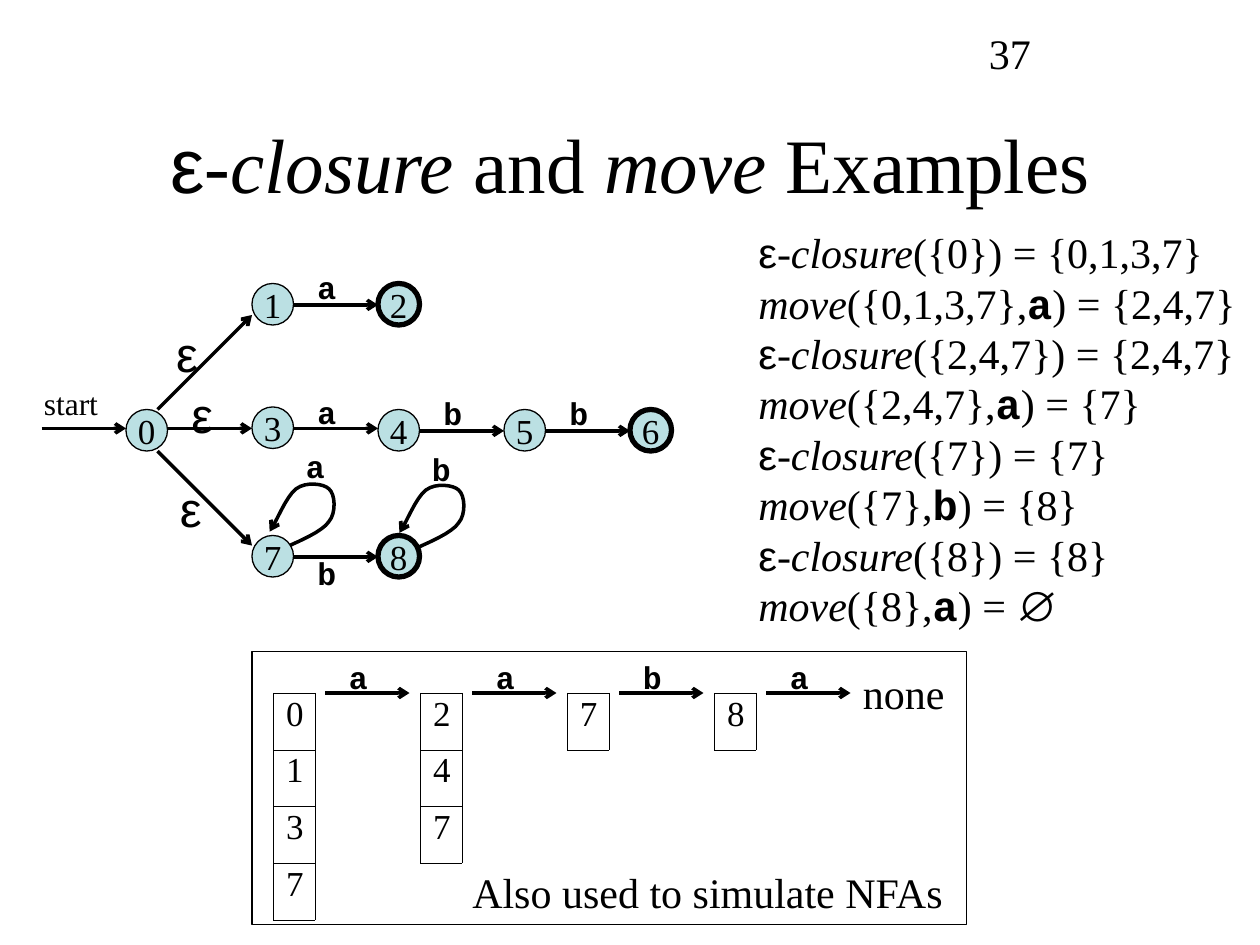
from lxml import etree
from pptx import Presentation
from pptx.dml.color import RGBColor
from pptx.enum.shapes import MSO_CONNECTOR, MSO_SHAPE
from pptx.enum.text import MSO_ANCHOR, MSO_AUTO_SIZE, PP_ALIGN
from pptx.oxml.ns import qn
from pptx.util import Inches, Pt

STRAIGHT = MSO_CONNECTOR.STRAIGHT
OVAL, RECTANGLE = MSO_SHAPE.OVAL, MSO_SHAPE.RECTANGLE
MIDDLE = MSO_ANCHOR.MIDDLE
NO_FIT, FIT_SHAPE = MSO_AUTO_SIZE.NONE, MSO_AUTO_SIZE.SHAPE_TO_FIT_TEXT
CENTER = PP_ALIGN.CENTER

SERIF, SANS, MONO = "Times New Roman", "Arial", "Courier New"
BLACK, NODE_FILL = "000000", "BBE0E3"
NODE = 0.33


def write(p, text, size=24, font=SERIF, bold=False, italic=False):
    """Append a run to the paragraph."""
    r = p.add_run()
    r.text = text
    r.font.size = Pt(size)
    r.font.name = font
    r.font.bold = bold
    r.font.italic = italic
    r.font.color.rgb = RGBColor.from_string(BLACK)


def style_arrow(sp):
    """Black 2 pt line without shadow, with an arrowhead at its end."""
    sp.line.color.rgb = RGBColor.from_string(BLACK)
    sp.line.width = Pt(2)
    spPr = sp._element.spPr
    etree.SubElement(spPr.find(qn("a:ln")), qn("a:tailEnd"), type="arrow")
    etree.SubElement(spPr, qn("a:effectLst"))


prs = Presentation()
prs.slide_width, prs.slide_height = Inches(10), Inches(7.5)
s = prs.slides.add_slide(prs.slide_layouts[5])

# Title
title = s.shapes.title
title.left, title.top = Inches(0.75), Inches(0.67)
title.width, title.height = Inches(8.5), Inches(1.25)
tf = title.text_frame
tf.auto_size = NO_FIT
tf.vertical_anchor = MIDDLE
p = tf.paragraphs[0]
p.alignment = CENTER
write(p, "ε", size=44, font=SANS)
for text, italic in [("-closure", True), (" and ", False), ("move", True), (" Examples", False)]:
    write(p, text, size=44, italic=italic)

# Arrows: automaton edges, then the steps between state sets
arrows = [
    (0.33, 3.4, 1, 3.4), (1.33, 3.4, 2, 3.4), (2.33, 3.4, 3, 3.4),
    (1.25, 3.25, 2, 2.5), (1.25, 3.58, 2, 4.33),
    (2.33, 2.42, 3, 2.42), (2.33, 4.42, 3, 4.42),
    (3.33, 3.42, 4, 3.42), (4.33, 3.42, 5, 3.42),
]
STEP = 3.5 / 3
steps = [(i * STEP, symbol) for i, symbol in enumerate("aaba")]
arrows += [(2.58 + dx, 5.5, 3.25 + dx, 5.5) for dx, _ in steps]
for points in arrows:
    style_arrow(s.shapes.add_connector(STRAIGHT, *map(Inches, points)))

# States of the automaton
ACCEPTING = "268"
nodes = [
    ("0", 1, 3.25), ("1", 2, 2.25), ("2", 3, 2.25),
    ("3", 2, 3.23), ("4", 3, 3.25), ("5", 4, 3.25), ("6", 5, 3.25),
    ("7", 2, 4.25), ("8", 3, 4.25),
]
for state, x, y in nodes:
    sp = s.shapes.add_shape(OVAL, Inches(x), Inches(y), Inches(NODE), Inches(NODE))
    sp.shadow.inherit = False
    sp.fill.solid()
    sp.fill.fore_color.rgb = RGBColor.from_string(NODE_FILL)
    sp.line.color.rgb = RGBColor.from_string(BLACK)
    sp.line.width = Pt(3 if state in ACCEPTING else 0.75)
    tf = sp.text_frame
    tf.word_wrap = False
    tf.vertical_anchor = MIDDLE
    tf.paragraphs[0].alignment = CENTER
    write(tf.paragraphs[0], state, size=20)

# Self-loops on states 7 and 8: four cubic curves, drawn as short segments
loop = [
    (2.3, 4.33), (2.36, 4.3), (2.56, 4.22), (2.61, 4.14),
    (2.67, 4.07), (2.66, 3.92), (2.61, 3.88),
    (2.57, 3.84), (2.43, 3.82), (2.35, 3.88),
    (2.27, 3.94), (2.19, 4.15), (2.14, 4.22),
]
SEGMENTS = 8
for dx, dy in [(0, 0), (1.03, 0.01)]:
    curve = []
    for k in range(0, len(loop) - 1, 3):
        for n in range(1, SEGMENTS + 1):
            t = n / SEGMENTS
            weights = ((1 - t) ** 3, 3 * t * (1 - t) ** 2, 3 * t * t * (1 - t), t ** 3)
            x = sum(w * c[0] for w, c in zip(weights, loop[k:k + 4]))
            y = sum(w * c[1] for w, c in zip(weights, loop[k:k + 4]))
            curve.append((Inches(x + dx), Inches(y + dy)))
    fb = s.shapes.build_freeform(Inches(loop[0][0] + dx), Inches(loop[0][1] + dy))
    fb.add_line_segments(curve, close=False)
    sp = fb.convert_to_shape()
    sp.fill.background()
    style_arrow(sp)

# Labels: text, left, top, width, height, format
mono = dict(size=18, font=MONO, bold=True)
epsilon = dict(size=28, font=SANS)
symbols = [
    ("a", 2.42, 2.08), ("a", 2.42, 3.07), ("b", 3.42, 3.08), ("b", 4.42, 3.08),
    ("b", 2.42, 4.35), ("a", 2.33, 3.5), ("b", 3.33, 3.52),
]
symbols += [(symbol, 2.67 + dx, 5.17) for dx, symbol in steps]
labels = [(symbol, x, y, 0.35, 0.4, mono) for symbol, x, y in symbols]
labels += [("ε", x, y, 0.37, 0.57, epsilon) for x, y in [(1.33, 3.75), (1.42, 3), (1.3, 2.52)]]
labels += [
    ("start", 0.25, 3, 0.63, 0.4, dict(size=18)),
    ("none", 6.75, 5.25, 0.85, 0.5, {}),
    ("Also used to simulate NFAs", 3.65, 6.83, 3.96, 0.5, {}),
    ("37", 7.75, 0.17, 2.08, 0.5, {}),
]
for text, x, y, w, h, fmt in labels:
    tf = s.shapes.add_textbox(Inches(x), Inches(y), Inches(w), Inches(h)).text_frame
    tf.word_wrap = text == "37"
    tf.auto_size = FIT_SHAPE
    write(tf.paragraphs[0], text, **fmt)

# Worked examples: state set, input symbol (none for a closure), result
examples = [
    ("0", "", "{0,1,3,7}"), ("0,1,3,7", "a", "{2,4,7}"),
    ("2,4,7", "", "{2,4,7}"), ("2,4,7", "a", "{7}"),
    ("7", "", "{7}"), ("7", "b", "{8}"),
    ("8", "", "{8}"), ("8", "a", "∅"),
]
tf = s.shapes.add_textbox(Inches(5.92), Inches(1.75), Inches(4.05), Inches(3.3)).text_frame
tf.word_wrap = True
tf.auto_size = NO_FIT
tf.margin_right = 0
p = tf.paragraphs[0]
for i, (states, symbol, result) in enumerate(examples):
    if i:
        p.add_line_break()
    if symbol:
        write(p, "move", italic=True)
        write(p, "({" + states + "},")
        write(p, symbol, font=MONO, bold=True)
        write(p, ") = ")
    else:
        write(p, "ε", font=SANS)
        write(p, "-closure", italic=True)
        write(p, "({" + states + "}) = ")
    write(p, result, font=SANS if result == "∅" else SERIF)

# State sets reached in the simulation
ROW = 0.45
for i, states in enumerate(["0137", "247", "7", "8"]):
    table = s.shapes.add_table(len(states), 1, Inches(2.17 + i * STEP), Inches(5.5),
                               Inches(NODE), Inches(ROW * len(states))).table
    table.first_row = table.horz_banding = False
    for row, state in enumerate(states):
        table.rows[row].height = Inches(ROW)
        cell = table.cell(row, 0)
        p = cell.text_frame.paragraphs[0]
        p.line_spacing = 0.86
        write(p, state, size=20)
        tcPr = cell._tc.get_or_add_tcPr()
        for side in ("a:lnL", "a:lnR", "a:lnT", "a:lnB"):
            ln = etree.SubElement(tcPr, qn(side), w=str(Pt(0.06)))
            fill = etree.SubElement(ln, qn("a:solidFill"))
            etree.SubElement(fill, qn("a:srgbClr"), val=BLACK)
        cell.fill.background()

# Frame around the simulation
frame = s.shapes.add_shape(RECTANGLE, Inches(2), Inches(5.17), Inches(5.67), Inches(2.17))
frame.shadow.inherit = False
frame.fill.background()
frame.line.color.rgb = RGBColor.from_string(BLACK)
frame.line.width = Pt(0.75)

prs.save("out.pptx")
